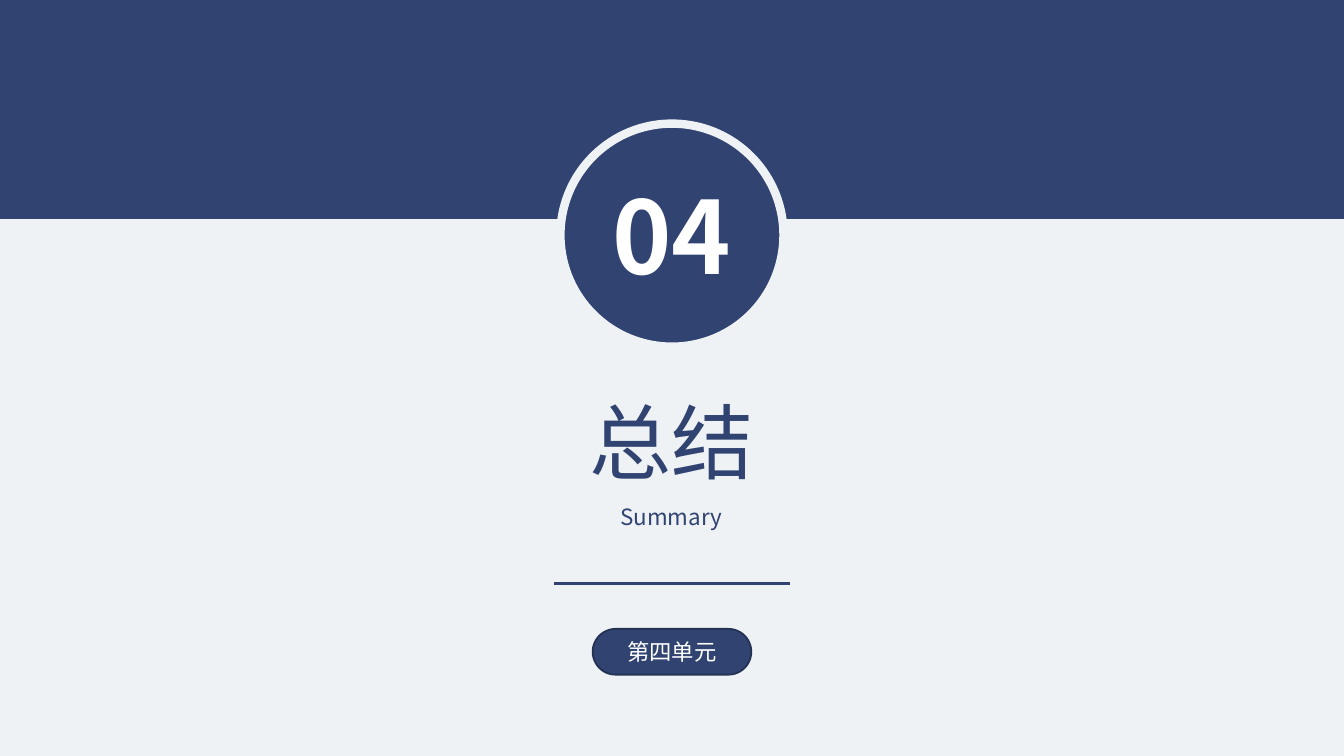
from lxml import etree
from pptx import Presentation
from pptx.dml.color import RGBColor
from pptx.enum.shapes import MSO_CONNECTOR, MSO_SHAPE
from pptx.enum.text import MSO_ANCHOR, MSO_AUTO_SIZE, PP_ALIGN
from pptx.oxml.ns import qn
from pptx.util import Inches, Pt

FONT = "Noto Sans CJK SC"
COLORS = {
    "navy": "304371",
    "edge": "243254",
    "paper": "EEF2F5",
    "white": "FFFFFF",
}


def rgb(name):
    return RGBColor.from_string(COLORS[name])


def place(sp, left, top, width, height):
    sp.left, sp.top = Inches(left), Inches(top)
    sp.width, sp.height = Inches(width), Inches(height)


def set_text(sp, text, size, color, bold=False, wrap=True, anchor=MSO_ANCHOR.TOP):
    """Write one centred line in Latin and East Asian type."""
    tf = sp.text_frame
    tf.text = text
    tf.word_wrap = wrap
    tf.auto_size = MSO_AUTO_SIZE.NONE
    tf.vertical_anchor = anchor
    p = tf.paragraphs[0]
    p.alignment = PP_ALIGN.CENTER
    p.line_spacing = 1.0
    p.space_before = Pt(0)
    r = p.runs[0]
    r.font.size = Pt(size)
    r.font.bold = bold
    r.font.color.rgb = rgb(color)
    r.font.name = FONT
    latin = r.font._element.find(qn("a:latin"))
    ea = etree.Element(qn("a:ea"), typeface=FONT)
    latin.addnext(ea)


def add_filled(slide, kind, box, line=None, line_width=0):
    sp = slide.shapes.add_shape(kind, *map(Inches, box))
    sp.shadow.inherit = False
    sp.fill.solid()
    sp.fill.fore_color.rgb = rgb("navy")
    if line:
        sp.line.color.rgb = rgb(line)
        sp.line.width = Pt(line_width)
    else:
        sp.line.fill.background()
    return sp


def add_divider(slide, left, right, y):
    line = slide.shapes.add_connector(
        MSO_CONNECTOR.STRAIGHT, Inches(left), Inches(y), Inches(right), Inches(y))
    line.line.color.rgb = rgb("navy")
    line.line.width = Pt(1.5)
    etree.SubElement(line._element.spPr, qn("a:effectLst"))


def main():
    prs = Presentation()
    prs.slide_width = Inches(10)
    prs.slide_height = Inches(10 * 9 / 16)
    slide = prs.slides.add_slide(prs.slide_layouts[0])
    slide.background.fill.solid()
    slide.background.fill.fore_color.rgb = rgb("paper")

    add_filled(slide, MSO_SHAPE.RECTANGLE, (0, 0, 10, 1.63))
    add_filled(slide, MSO_SHAPE.OVAL, (4.17, 0.92, 1.66, 1.66), "paper", 4.5)
    number = slide.shapes.add_textbox(*map(Inches, (4.3, 1.24, 1.4, 1.01)))
    set_text(number, "04", 54, "white", bold=True)

    title, subtitle = slide.placeholders
    place(title, 4.28, 2.86, 1.44, 0.84)
    set_text(title, "总结", 44, "navy", wrap=False)
    place(subtitle, 2.19, 3.69, 5.61, 0.3)
    set_text(subtitle, "Summary", 12, "navy")

    add_divider(slide, 4.12, 5.88, 4.34)
    unit = add_filled(slide, MSO_SHAPE.ROUNDED_RECTANGLE,
                      (4.41, 4.68, 1.18, 0.34), "edge", 1)
    unit.adjustments[0] = 0.5
    set_text(unit, "第四单元", 12, "white", anchor=MSO_ANCHOR.MIDDLE)

    prs.save("out.pptx")


if __name__ == "__main__":
    main()
